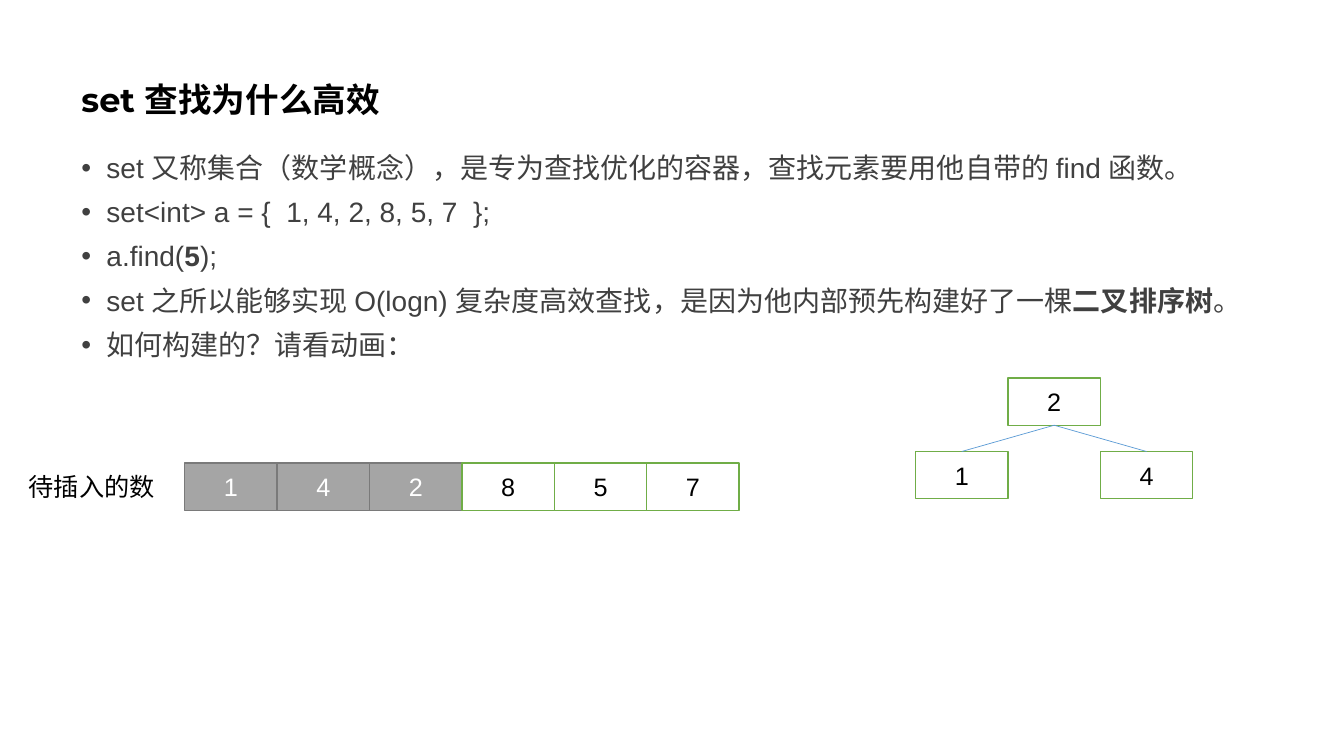
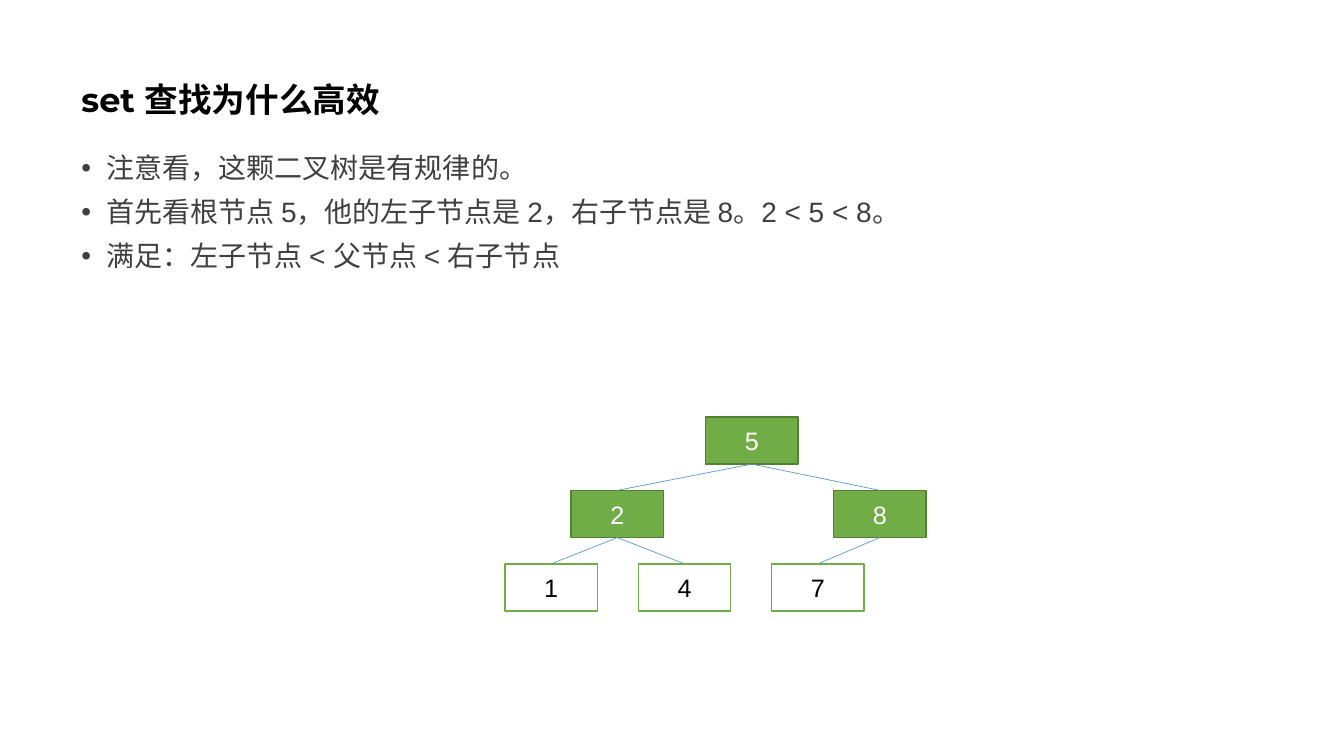
from lxml.etree import SubElement
from pptx import Presentation
from pptx.dml.color import RGBColor
from pptx.enum.lang import MSO_LANGUAGE_ID
from pptx.enum.shapes import MSO_CONNECTOR, MSO_SHAPE
from pptx.enum.text import MSO_ANCHOR, MSO_AUTO_SIZE, PP_ALIGN
from pptx.oxml.ns import qn
from pptx.util import Pt

PX = 9525  # EMU in one px, 96 px to the inch
HEX = {
    "white": "FFFFFF", "black": "000000", "text": "404040",
    "gray": "A5A5A5", "slate": "7A7A7A",
    "green": "70AD47", "moss": "538035", "blue": "5B9BD5",
}
# Node styles: fill, line, text
STYLES = {
    "plain": ("white", "green", "black"),
    "used": ("gray", "slate", "white"),
    "key": ("green", "moss", "white"),
}
NODE_W, NODE_H, STEP = 88, 45, 70
TITLE = "set 查找为什么高效"

# Each slide: bullets (every second run is bold), top of the tree,
# and nodes as number, left, level, style, parent
PAGES = [
    (
        [
            ["set 又称集合（数学概念），是专为查找优化的容器，查找元素要用他自带的 find 函数。"],
            ["set<int> a = {  1, 4, 2, 8, 5, 7  };"],
            ["a.find(", "5", ");"],
            ["set 之所以能够实现 O(logn) 复杂度高效查找，是因为他内部预先构建好了一棵",
             "二叉排序树", "。"],
            ["如何构建的？请看动画："],
        ],
        360,
        [
            (2, 960, 0, "plain", None),
            (1, 960 - NODE_W, 1, "plain", 2),
            (4, 960 + NODE_W, 1, "plain", 2),
        ],
    ),
    (
        [
            ["注意看，这颗二叉树是有规律的。"],
            ["首先看根节点 5，他的左子节点是 2，右子节点是 8。2 < 5 < 8。"],
            ["满足：左子节点 < 父节点 < 右子节点"],
        ],
        397,
        [
            (5, 672, 0, "key", None),
            (2, 544, 1, "key", 5),
            (8, 794, 1, "key", 5),
            (1, 481, 2, "plain", 2),
            (4, 608, 2, "plain", 2),
            (7, 735, 2, "plain", 8),
        ],
    ),
]


def write(par, text, size, color, bold=False, face="Arial"):
    run = par.add_run()
    run.text = text
    font = run.font
    font.name, font.size, font.bold = face, Pt(size), bold
    font.color.rgb = RGBColor.from_string(HEX[color])
    font.language_id = MSO_LANGUAGE_ID.SIMPLIFIED_CHINESE


def add_node(slide, num, left, top, style):
    fill, line, color = STYLES[style]
    node = slide.shapes.add_shape(
        MSO_SHAPE.RECTANGLE, left * PX, top * PX, NODE_W * PX, NODE_H * PX)
    node.shadow.inherit = False
    node.fill.solid()
    node.fill.fore_color.rgb = RGBColor.from_string(HEX[fill])
    node.line.color.rgb = RGBColor.from_string(HEX[line])
    node.line.width = Pt(1)
    frame = node.text_frame
    frame.vertical_anchor = MSO_ANCHOR.MIDDLE
    par = frame.paragraphs[0]
    par.alignment = PP_ALIGN.CENTER
    write(par, str(num), 18, color)
    return node


prs = Presentation()
prs.slide_width, prs.slide_height = 1280 * PX, 720 * PX

for bullets, top, tree in PAGES:
    slide = prs.slides.add_slide(prs.slide_layouts[5])

    # Title
    title = slide.shapes.title
    title.left, title.top = 68 * PX, 27 * PX
    title.width, title.height = 1104 * PX, 139 * PX
    frame = title.text_frame
    frame.auto_size = MSO_AUTO_SIZE.NONE
    frame.vertical_anchor = MSO_ANCHOR.MIDDLE
    par = frame.paragraphs[0]
    par.alignment = PP_ALIGN.LEFT
    par.line_spacing = 0.9
    write(par, TITLE, 24, "black", True, "Montserrat")

    # Bullets
    body = slide.shapes.add_textbox(68 * PX, 142 * PX, 1161 * PX, 457 * PX)
    frame = body.text_frame
    frame.word_wrap = True
    for i, runs in enumerate(bullets):
        par = frame.add_paragraph() if i else frame.paragraphs[0]
        par.line_spacing = 0.9
        par.space_before = Pt(10)
        props = par._p.get_or_add_pPr()
        props.set("marL", str(24 * PX))
        props.set("indent", str(-24 * PX))
        SubElement(props, qn("a:buFont")).set("typeface", "Arial")
        SubElement(props, qn("a:buChar")).set("char", "•")
        for j, text in enumerate(runs):
            write(par, text, 20, "text", j % 2 == 1)

    # Tree, each child joined to its parent
    nodes = {}
    for num, left, level, style, parent in tree:
        nodes[num] = add_node(slide, num, left, top + level * STEP, style)
        if parent is None:
            continue
        link = slide.shapes.add_connector(MSO_CONNECTOR.STRAIGHT, 0, 0, 0, 0)
        link.begin_connect(nodes[num], 0)
        link.end_connect(nodes[parent], 2)
        link.line.color.rgb = RGBColor.from_string(HEX["blue"])
        link.line.width = Pt(0.5)
        SubElement(link._element.spPr, qn("a:effectLst"))

# Queue of numbers on the first slide
first = prs.slides[0]
for i, num in enumerate([1, 4, 2, 8, 5, 7]):
    add_node(first, num, 176 + i * NODE_W, 441, "used" if i < 3 else "plain")

label = first.shapes.add_textbox(18 * PX, 444 * PX, 139 * PX, 38 * PX)
label.text_frame.word_wrap = False
label.text_frame.auto_size = MSO_AUTO_SIZE.SHAPE_TO_FIT_TEXT
write(label.text_frame.paragraphs[0], "待插入的数", 18, "black")

prs.save("out.pptx")
